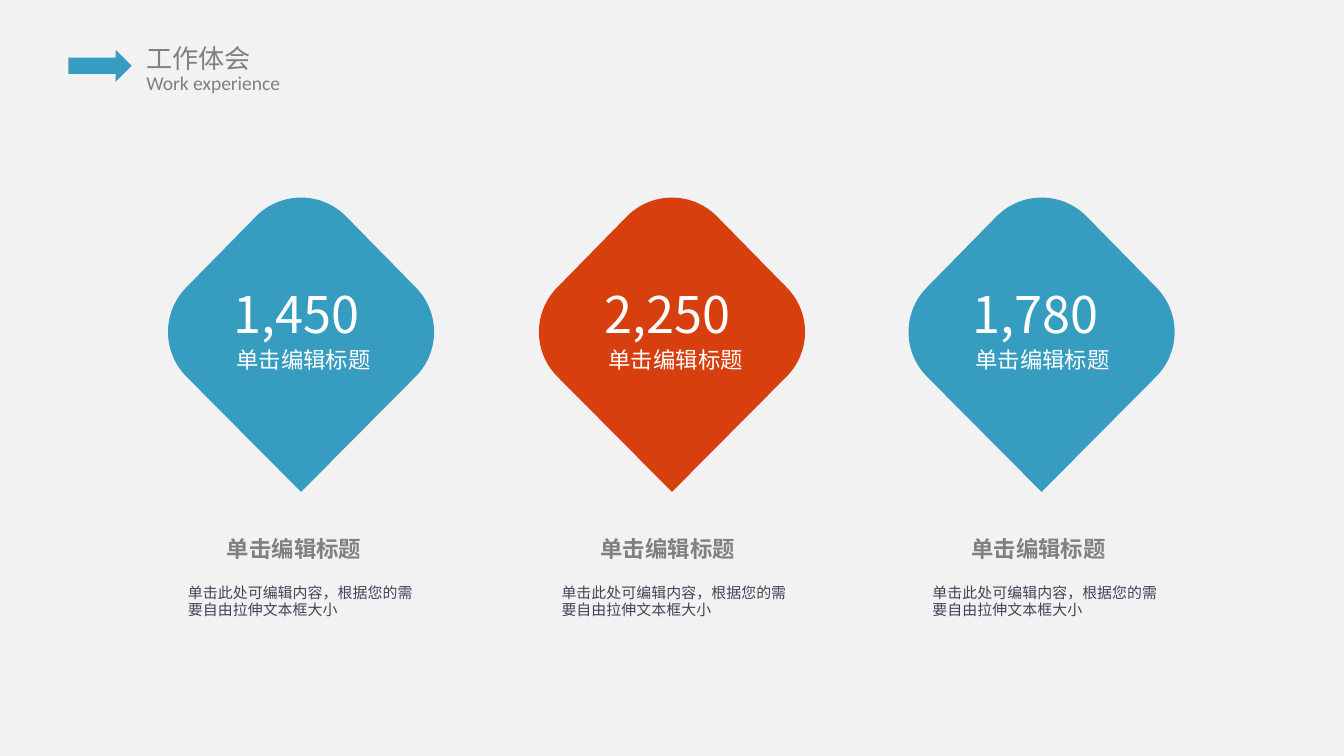
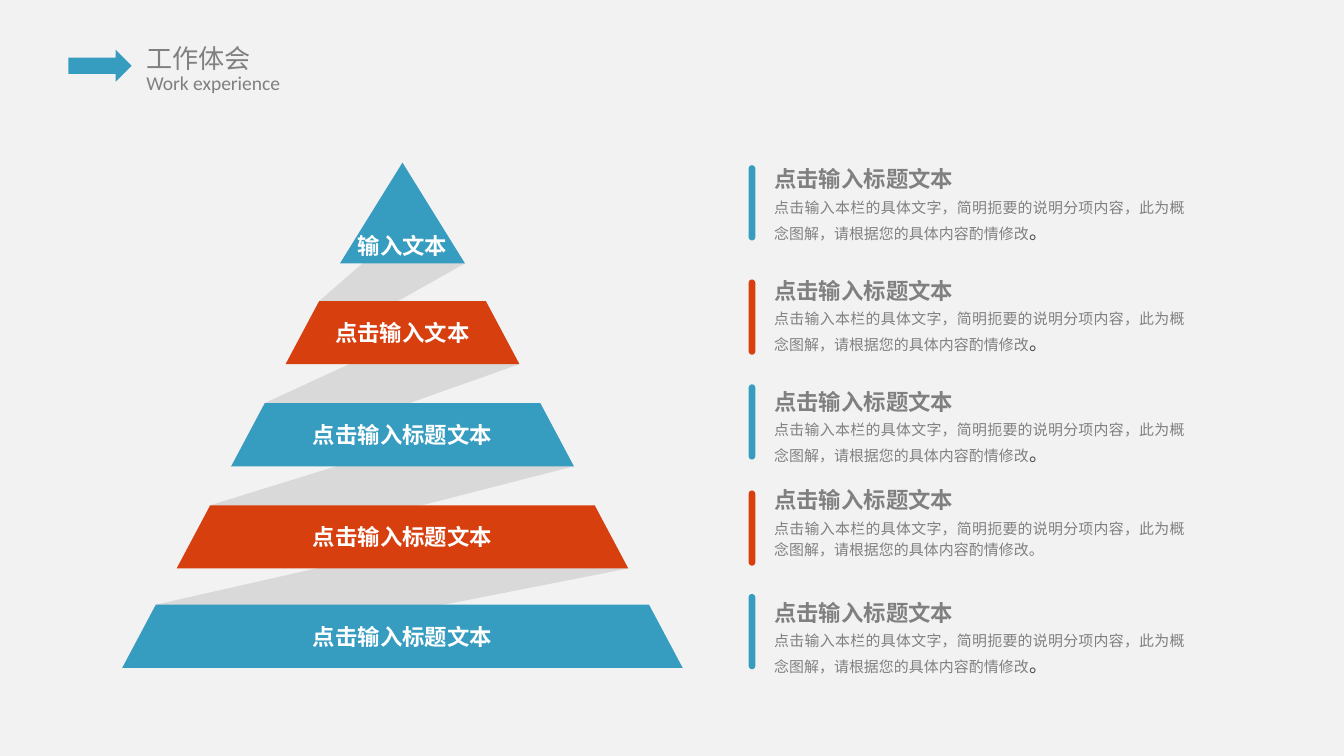
from math import cos, radians, sin, tan

from pptx import Presentation
from pptx.dml.color import RGBColor
from pptx.enum.shapes import MSO_SHAPE
from pptx.enum.text import MSO_ANCHOR, MSO_AUTO_SIZE, PP_ALIGN
from pptx.oxml.ns import qn
from pptx.util import Inches, Pt

COLORS = {
    "background": "F2F2F2",
    "blue": "369CC0",
    "red": "D73F0F",
    "gray": "808080",
    "ribbon": "D9D9D9",
    "slate": "424456",
    "dark": "404040",
    "white": "FFFFFF",
}
CHINESE_FONT = "Noto Sans CJK SC"
LATIN_FONT = "Calibri"
HEADER_MARGINS = (0.11, 0.05)
ENTRY_MARGINS = (0.04, 0.02)

CAPTION = "单击编辑标题"
CAPTION_TEXT = "单击此处可编辑内容，根据您的需要自由拉伸文本框大小"
# figure, color, center, then the left edges of label, figure, caption and caption text
DIAMONDS = [
    ("1,450", "blue", 2.24, 1.66, 1.64, 1.59, 1.30),
    ("2,250", "red", 5.00, 4.43, 4.40, 4.37, 4.08),
    ("1,780", "blue", 7.75, 7.16, 7.14, 7.13, 6.84),
]

PYRAMID_CENTER = 2.995
ENTRY_TITLE = "点击输入标题文本"
ENTRY_TEXT = "点击输入本栏的具体文字，简明扼要的说明分项内容，此为概念图解，请根据您的具体内容酌情修改"
# label, label width, tier top
TIERS = [
    ("输入文本", 0.92, 1.49),
    ("点击输入文本", 1.2, 2.24),
    (ENTRY_TITLE, 2.02, 3),
    (ENTRY_TITLE, 2.88, 3.76),
    (ENTRY_TITLE, 3.65, 4.5),
]
# bar top, title top, text top, whether the full stop is larger and darker
ENTRIES = [
    (1.23, 1.21, 1.43, True),
    (2.08, 2.04, 2.26, True),
    (2.86, 2.87, 3.08, True),
    (3.65, 3.6, 3.82, False),
    (4.42, 4.44, 4.65, True),
]


def alternating(index):
    return "red" if index % 2 else "blue"


def place(shape, left, top, width, height):
    shape.left, shape.top = Inches(left), Inches(top)
    shape.width, shape.height = Inches(width), Inches(height)


def paint(shape, color):
    shape.shadow.inherit = False
    shape.fill.solid()
    shape.fill.fore_color.rgb = RGBColor.from_string(COLORS[color])
    shape.line.fill.background()


def add_run(paragraph, text, size, color, bold=False, font=CHINESE_FONT):
    run = paragraph.add_run()
    run.text = text
    run.font.size = Pt(size)
    run.font.bold = bold
    run.font.name = font
    run.font.color.rgb = RGBColor.from_string(COLORS[color])
    east_asian = run.font._element.makeelement(qn("a:ea"), {"typeface": font})
    run.font._element.find(qn("a:latin")).addnext(east_asian)


def write(shape, text, size, color, margins=(0.1, 0.05), wrap=False, grow=True,
          anchor=MSO_ANCHOR.TOP, align=PP_ALIGN.LEFT, line_spacing=None,
          space_before=None, **run_format):
    """Fill a shape with one formatted paragraph and return that paragraph."""
    frame = shape.text_frame
    frame.margin_left = frame.margin_right = Inches(margins[0])
    frame.margin_top = frame.margin_bottom = Inches(margins[1])
    frame.word_wrap = wrap
    frame.auto_size = MSO_AUTO_SIZE.SHAPE_TO_FIT_TEXT if grow else MSO_AUTO_SIZE.NONE
    frame.vertical_anchor = anchor
    paragraph = frame.paragraphs[0]
    paragraph.alignment = align
    if line_spacing:
        paragraph.line_spacing = line_spacing
    if space_before:
        paragraph.space_before = Pt(space_before)
    add_run(paragraph, text, size, color, **run_format)
    return paragraph


def add_text(slide, text, at, **text_format):
    box = slide.shapes.add_textbox(*map(Inches, at))
    return write(box, text, **text_format)


def add_shape(slide, kind, at, color):
    shape = slide.shapes.add_shape(kind, *map(Inches, at))
    paint(shape, color)
    return shape


def add_polygon(slide, points, color):
    points = [(Inches(x), Inches(y)) for x, y in points]
    builder = slide.shapes.build_freeform(*points[0])
    builder.add_line_segments(points[1:], close=True)
    shape = builder.convert_to_shape()
    paint(shape, color)
    return shape


def bend_lines(shape):
    """Turn each three line points of a freeform into one Bezier curve."""
    lines = list(shape._element.iter(qn("a:lnTo")))
    for start in range(0, len(lines) - 2, 3):
        curve = lines[start].makeelement(qn("a:cubicBezTo"), {})
        lines[start].addprevious(curve)
        for line in lines[start:start + 3]:
            curve.append(line[0])
            line.getparent().remove(line)


def add_slide(presentation):
    """Add a slide with the shared header."""
    slide = presentation.slides.add_slide(presentation.slide_layouts[5])
    title = slide.shapes.title
    place(title, 0.98, 0.265, 1, 0.34)
    write(title, "工作体会", size=14, color="gray", margins=HEADER_MARGINS)
    add_text(slide, "Work experience", (0.98, 0.475, 1.23, 0.28), size=10.5,
             color="gray", margins=HEADER_MARGINS, font=LATIN_FONT)
    add_shape(slide, MSO_SHAPE.RIGHT_ARROW, (0.51, 0.37, 0.47, 0.24), "blue")
    return slide


def eighth_turn(x, y, radius, start):
    """Return the four Bezier points of a 45 degree arc."""
    end = start + 45
    handle = radius * 4 / 3 * tan(radians(45 / 4))

    def on_arc(angle, offset):
        cosine, sine = cos(radians(angle)), sin(radians(angle))
        return (x + radius * cosine - offset * sine,
                y + radius * sine + offset * cosine)

    return [on_arc(start, 0), on_arc(start, handle),
            on_arc(end, -handle), on_arc(end, 0)]


def add_diamond(slide, center, color):
    """Draw a diamond with three round corners and a sharp lower tip."""
    radius, reach, middle = 0.47, 0.52, 2.47
    corners = [(center - reach, middle, 135),
               (center, 1.94, 225),
               (center + reach, middle, 315)]
    points = []
    for x, y, start in corners:
        first, second = (eighth_turn(x, y, radius, angle) for angle in (start, start + 45))
        if points:
            points += [points[-1], first[0], first[0]]
        else:
            points.append(first[0])
        points += first[1:] + second[1:]
    tip = (center, 3.66)
    bend_lines(add_polygon(slide, points + [points[-1], tip, tip], color))


def build_figures(presentation):
    slide = add_slide(presentation)
    for (figure, color, center, label_left, figure_left,
         caption_left, text_left) in DIAMONDS:
        add_diamond(slide, center, color)
        add_text(slide, CAPTION, (label_left, 2.53, 1.21, 0.3), size=12, color="white")
        add_text(slide, figure, (figure_left, 2.06, 1.18, 0.56), size=27, color="white")
        add_text(slide, CAPTION, (caption_left, 3.93, 1.21, 0.3), size=12,
                 color="gray", bold=True)
        add_text(slide, CAPTION_TEXT, (text_left, 4.29, 1.9, 0.37), size=8,
                 color="slate", wrap=True, space_before=1.6)


def tier_corners(index, top):
    """Return the top left, top right, bottom right and bottom left corners."""
    half_bottom = 0.465 + 0.405 * index
    half_top = half_bottom - 0.25
    return [(PYRAMID_CENTER - half_top, top),
            (PYRAMID_CENTER + half_top, top),
            (PYRAMID_CENTER + half_bottom, top + 0.47),
            (PYRAMID_CENTER - half_bottom, top + 0.47)]


def add_pyramid(slide):
    tiers = [tier_corners(index, top) for index, (_, _, top) in enumerate(TIERS)]
    for index, (upper, lower) in enumerate(zip(tiers, tiers[1:])):
        start = upper[1] if index else (3.18, 1.54)
        add_polygon(slide, [start, lower[0], lower[3], upper[2]], "ribbon")
    for index, (corners, (label, width, top)) in enumerate(zip(tiers, TIERS)):
        outline = corners if index else [(PYRAMID_CENTER, 1.21)] + corners[2:]
        label_top = top + 0.04 if index else 1.63
        add_polygon(slide, outline, alternating(index))
        add_text(slide, label, (PYRAMID_CENTER - width / 2, label_top, width, 0.39),
                 size=12, color="white", bold=True, margins=(0, 0), wrap=True,
                 grow=False, anchor=MSO_ANCHOR.MIDDLE, align=PP_ALIGN.CENTER)


def add_entry(slide, bar_top, title_top, text_top, strong_stop, color):
    bar = add_shape(slide, MSO_SHAPE.ROUND_2_SAME_RECTANGLE,
                    (5.57, bar_top, 0.05, 0.56), color)
    bar.adjustments[0] = bar.adjustments[1] = 0.5
    paragraph = add_text(slide, ENTRY_TEXT if strong_stop else ENTRY_TEXT + "。",
                         (5.72, text_top, 3.14, 0.4 if strong_stop else 0.36),
                         size=8, color="gray", margins=ENTRY_MARGINS, wrap=True,
                         align=PP_ALIGN.JUSTIFY, line_spacing=1.2)
    if strong_stop:
        add_run(paragraph, "。", 10, "dark")
    add_text(slide, ENTRY_TITLE, (5.72, title_top, 1.42, 0.24), size=12,
             color="gray", bold=True, margins=ENTRY_MARGINS)


def build_pyramid(presentation):
    slide = add_slide(presentation)
    add_pyramid(slide)
    for index, entry in enumerate(ENTRIES):
        add_entry(slide, *entry, alternating(index))


def main():
    presentation = Presentation()
    presentation.slide_width = Inches(10)
    presentation.slide_height = Inches(5.625)
    background = presentation.slide_master.background.fill
    background.solid()
    background.fore_color.rgb = RGBColor.from_string(COLORS["background"])
    build_figures(presentation)
    build_pyramid(presentation)
    presentation.save("out.pptx")


if __name__ == "__main__":
    main()
